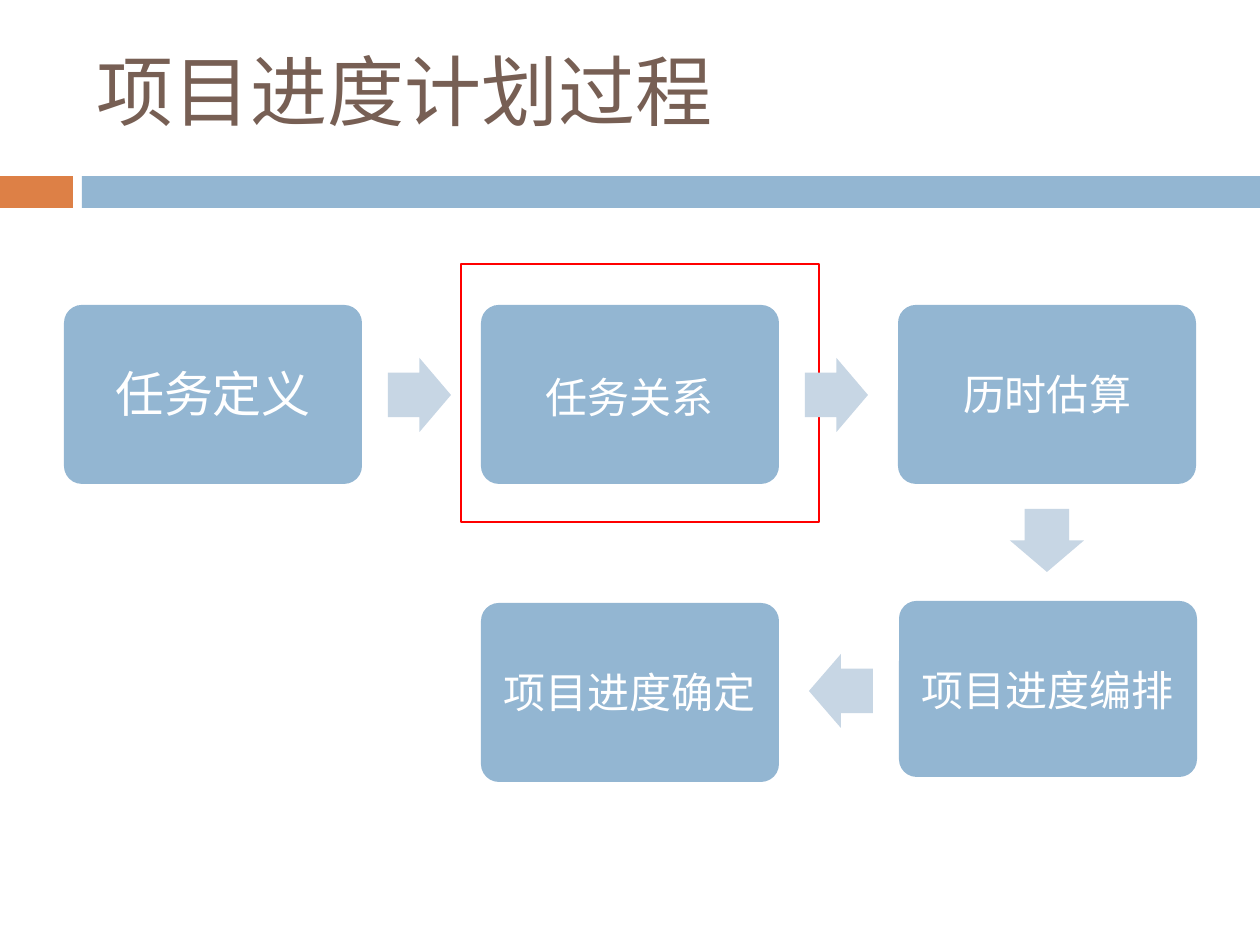
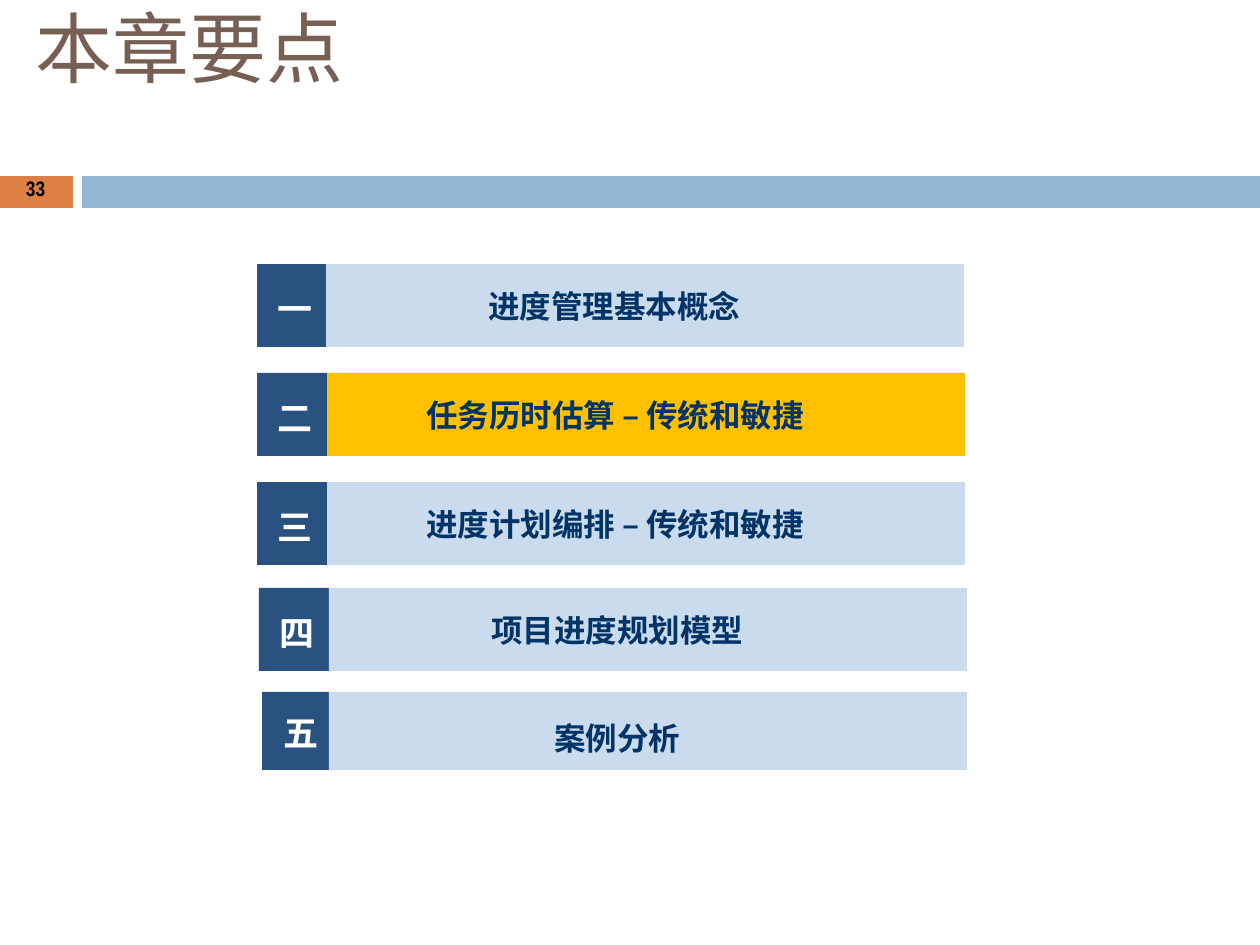
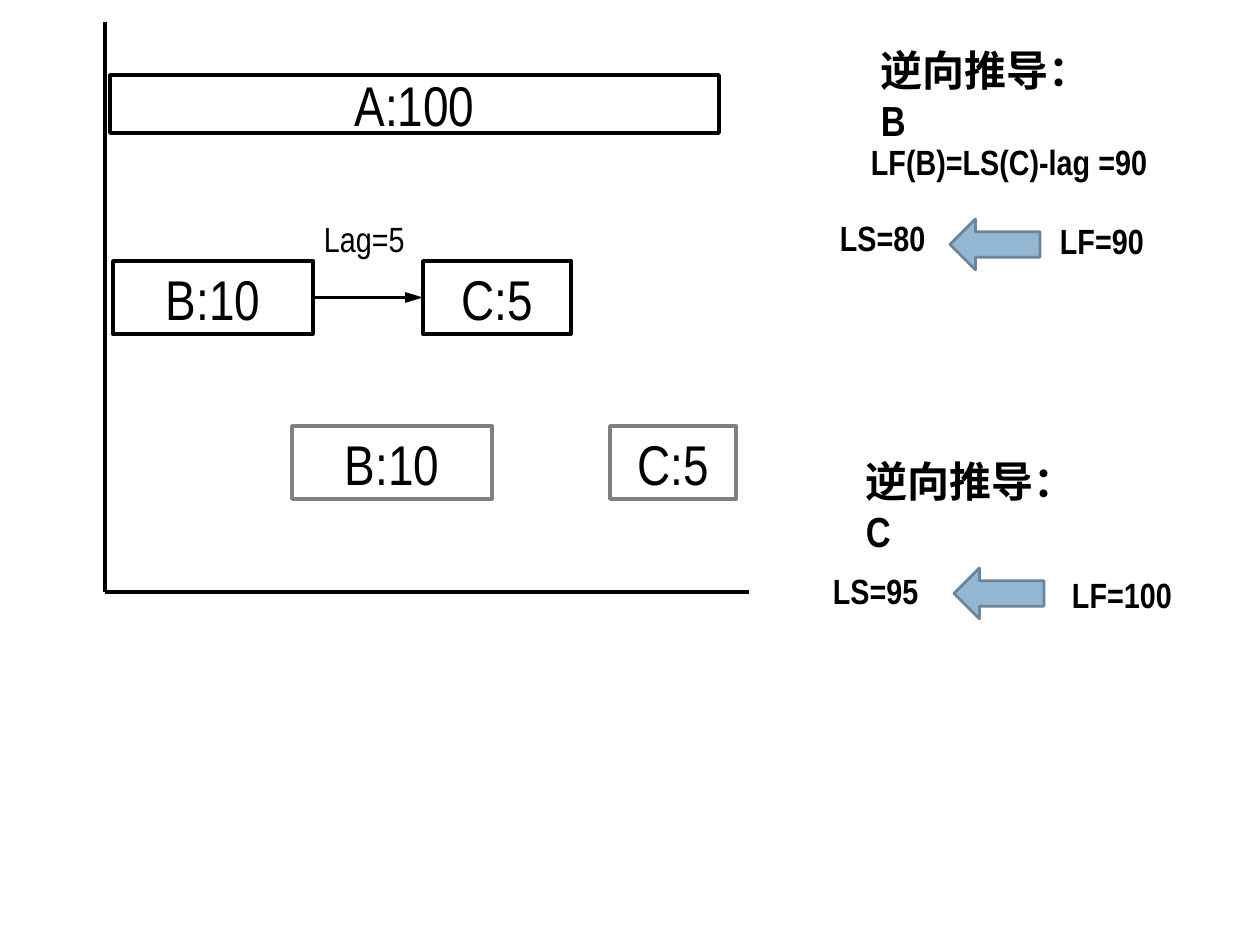
from dataclasses import dataclass

from lxml.etree import SubElement
from pptx import Presentation
from pptx.dml.color import RGBColor
from pptx.enum.shapes import MSO_CONNECTOR, MSO_SHAPE
from pptx.enum.text import MSO_ANCHOR, PP_ALIGN
from pptx.oxml.ns import qn
from pptx.shapes.autoshape import Shape
from pptx.shapes.connector import Connector
from pptx.slide import Slide
from pptx.util import Emu, Pt

PX_PER_INCH = 126


@dataclass(frozen=True)
class Theme:
    cjk: str = "Noto Sans CJK SC"
    latin: str = "Arial Narrow"
    brown: str = "775F54"
    orange: str = "DD8046"
    blue: str = "93B6D2"
    pale_arrow: str = "C7D6E4"
    arrow_edge: str = "6B859A"
    red: str = "FF0000"
    navy: str = "2A5280"
    label_blue: str = "C9DBED"
    highlight: str = "FFC000"
    label_text: str = "003366"
    white: str = "FFFFFF"
    black: str = "000000"
    grey: str = "808080"
    title_size: int = 44
    bar_size: int = 32
    first_step_size: int = 28
    heading_size: int = 24
    note_size: int = 20
    topic_size: int = 18
    page_size: int = 12
    thin: float = 1.56
    thick: float = 2.04


THEME = Theme()


@dataclass(frozen=True)
class Box:
    left: int
    top: int
    width: int
    height: int


@dataclass(frozen=True)
class TextStyle:
    size: int
    color: str
    font: str = THEME.cjk
    bold: bool = False
    align: PP_ALIGN = PP_ALIGN.LEFT
    anchor: MSO_ANCHOR = MSO_ANCHOR.TOP
    wrap: bool = False


@dataclass(frozen=True)
class Step:
    text: str
    box: Box
    size: int = THEME.heading_size
    drop: int = 58


@dataclass(frozen=True)
class FlowArrow:
    kind: MSO_SHAPE
    box: Box


@dataclass(frozen=True)
class Topic:
    number: str
    text: str
    left: int
    label_left: int
    top: int
    height: int = 83
    fill: str = THEME.label_blue
    number_drop: int = 23
    label_drop: int = 23


@dataclass(frozen=True)
class Bar:
    text: str
    box: Box
    edge: str = THEME.black


@dataclass(frozen=True)
class Note:
    text: str
    box: Box
    bold: bool = True


def px(length: int) -> Emu:
    return Emu(round(length * 914400 / PX_PER_INCH))


def place(box: Box) -> tuple[Emu, Emu, Emu, Emu]:
    return px(box.left), px(box.top), px(box.width), px(box.height)


def write(shape: Shape, text: str, style: TextStyle,
          left: int = 0, top: int = 1, right: int = 0) -> None:
    frame = shape.text_frame
    frame.word_wrap = style.wrap
    frame.vertical_anchor = style.anchor
    frame.margin_left, frame.margin_top = px(left), px(top)
    frame.margin_right, frame.margin_bottom = px(right), 0
    paragraph = frame.paragraphs[0]
    paragraph.text = text
    paragraph.alignment = style.align
    font = paragraph.font
    font.size, font.bold, font.name = Pt(style.size), style.bold, style.font
    font.color.rgb = RGBColor.from_string(style.color)
    defaults = paragraph._p.pPr.find(qn("a:defRPr"))
    SubElement(defaults, qn("a:ea")).set("typeface", THEME.cjk)


def add_text(slide: Slide, box: Box, text: str, style: TextStyle) -> None:
    write(slide.shapes.add_textbox(*place(box)), text, style)


def add_block(slide: Slide, kind: MSO_SHAPE, box: Box, fill: str | None = None,
              edge: str | None = None, weight: float = THEME.thin) -> Shape:
    block = slide.shapes.add_shape(kind, *place(box))
    block.shadow.inherit = False
    if fill:
        block.fill.solid()
        block.fill.fore_color.rgb = RGBColor.from_string(fill)
    else:
        block.fill.background()
    if edge:
        block.line.color.rgb = RGBColor.from_string(edge)
        block.line.width = Pt(weight)
    else:
        block.line.fill.background()
    return block


def add_line(slide: Slide, x1: int, y1: int, x2: int, y2: int) -> Connector:
    line = slide.shapes.add_connector(
        MSO_CONNECTOR.STRAIGHT, px(x1), px(y1), px(x2), px(y2))
    line.line.color.rgb = RGBColor.from_string(THEME.black)
    line.line.width = Pt(THEME.thick)
    SubElement(line._element.spPr, qn("a:effectLst"))
    return line


def add_title_and_bands(slide: Slide, title: str, box: Box) -> None:
    add_block(slide, MSO_SHAPE.RECTANGLE, Box(0, 176, 73, 32), THEME.orange)
    add_block(slide, MSO_SHAPE.RECTANGLE, Box(82, 176, 1178, 32), THEME.blue)
    add_text(slide, box, title, TextStyle(THEME.title_size, THEME.brown))


# Slide 1: planning process
STEPS = (
    Step("任务定义", Box(64, 305, 298, 179), THEME.first_step_size, 53),
    Step("任务关系", Box(481, 305, 298, 179), drop=61),
    Step("历时估算", Box(898, 305, 298, 179)),
    Step("项目进度编排", Box(899, 601, 298, 176)),
    Step("项目进度确定", Box(481, 603, 298, 179)),
)
FLOW_ARROWS = (
    FlowArrow(MSO_SHAPE.RIGHT_ARROW, Box(388, 358, 63, 74)),
    FlowArrow(MSO_SHAPE.RIGHT_ARROW, Box(805, 358, 63, 74)),
    FlowArrow(MSO_SHAPE.DOWN_ARROW, Box(1010, 509, 74, 63)),
    FlowArrow(MSO_SHAPE.LEFT_ARROW, Box(809, 654, 64, 74)),
)


def build_process(slide: Slide) -> None:
    add_title_and_bands(slide, "项目进度计划过程", Box(97, 43, 620, 96))
    for step in STEPS:
        block = add_block(slide, MSO_SHAPE.ROUNDED_RECTANGLE, step.box, THEME.blue)
        block.adjustments[0] = 0.1
        write(block, step.text,
              TextStyle(step.size, THEME.white, align=PP_ALIGN.CENTER, wrap=True),
              top=step.drop)
    add_block(slide, MSO_SHAPE.RECTANGLE, Box(461, 264, 358, 258), edge=THEME.red)
    for arrow in FLOW_ARROWS:
        block = add_block(slide, arrow.kind, arrow.box, THEME.pale_arrow)
        block.adjustments[0], block.adjustments[1] = 0.6, 0.5


# Slide 2: chapter topics
LABEL_WIDTH = 638
LABEL_RIGHT_INSET = 62
TOPICS = (
    Topic("一", "进度管理基本概念", 257, 326, 264),
    Topic("二", "任务历时估算 – 传统和敏捷", 257, 327, 373, fill=THEME.highlight),
    Topic("三", "进度计划编排 – 传统和敏捷", 257, 327, 482),
    Topic("四", "项目进度规划模型", 259, 329, 588),
    Topic("五", "案例分析", 262, 329, 692, 78, number_drop=20, label_drop=27),
)


def build_topics(slide: Slide) -> None:
    add_title_and_bands(slide, "本章要点", Box(36, 0, 312, 96))
    add_text(slide, Box(26, 175, 23, 29), "33",
             TextStyle(THEME.page_size, THEME.black, THEME.latin, bold=True))
    number_style = TextStyle(THEME.note_size, THEME.white, bold=True)
    label_style = TextStyle(THEME.topic_size, THEME.label_text, bold=True,
                            align=PP_ALIGN.CENTER, wrap=True)
    for topic in TOPICS:
        number = add_block(
            slide, MSO_SHAPE.RECTANGLE,
            Box(topic.left, topic.top, topic.label_left - topic.left, topic.height),
            THEME.navy)
        write(number, topic.number, number_style, left=21, top=topic.number_drop)
        label = add_block(
            slide, MSO_SHAPE.RECTANGLE,
            Box(topic.label_left, topic.top, LABEL_WIDTH, topic.height), topic.fill)
        write(label, topic.text, label_style, top=topic.label_drop,
              right=LABEL_RIGHT_INSET)


# Slide 3: backward pass
TASK_A = Bar("A:100", Box(110, 75, 609, 58))
TASK_B = Bar("B:10", Box(113, 261, 200, 73))
TASK_C = Bar("C:5", Box(423, 261, 148, 73))
LATE_B = Bar("B:10", Box(292, 426, 200, 73), THEME.grey)
LATE_C = Bar("C:5", Box(610, 426, 126, 73), THEME.grey)
HEADINGS = (
    Note("逆向推导：B", Box(881, 43, 225, 108)),
    Note("逆向推导：C", Box(866, 454, 225, 108)),
)
NOTES = (
    Note("Lag=5", Box(324, 217, 84, 45), bold=False),
    Note("LF(B)=LS(C)-lag =90", Box(871, 139, 280, 45)),
    Note("LS=80", Box(840, 215, 90, 45)),
    Note("LF=90", Box(1060, 218, 88, 45)),
    Note("LS=95", Box(833, 568, 90, 45)),
    Note("LF=100", Box(1072, 572, 104, 45)),
)
BACKWARD_ARROWS = (Box(950, 219, 90, 51), Box(954, 568, 90, 51))


def add_bar(slide: Slide, bar: Bar) -> Shape:
    block = add_block(slide, MSO_SHAPE.RECTANGLE, bar.box, edge=bar.edge,
                      weight=THEME.thick)
    write(block, bar.text,
          TextStyle(THEME.bar_size, THEME.black, THEME.latin,
                    align=PP_ALIGN.CENTER, anchor=MSO_ANCHOR.MIDDLE))
    return block


def build_backward_pass(slide: Slide) -> None:
    # Axes
    add_line(slide, 105, 22, 105, 592)
    add_line(slide, 105, 592, 749, 592)
    # Task bars and the lag between B and C
    for bar in (TASK_A, LATE_B, LATE_C):
        add_bar(slide, bar)
    task_b, task_c = add_bar(slide, TASK_B), add_bar(slide, TASK_C)
    lag = add_line(slide, 313, 297, 423, 297)
    lag.begin_connect(task_b, 3)
    lag.end_connect(task_c, 1)
    tail = SubElement(lag.line._get_or_add_ln(), qn("a:tailEnd"))
    tail.set("type", "triangle")
    tail.set("len", "lg")
    # Derivations
    for heading in HEADINGS:
        add_text(slide, heading.box, heading.text,
                 TextStyle(THEME.heading_size, THEME.black, THEME.latin,
                           bold=True, wrap=True))
    for note in NOTES:
        add_text(slide, note.box, note.text,
                 TextStyle(THEME.note_size, THEME.black, THEME.latin, note.bold))
    for box in BACKWARD_ARROWS:
        add_block(slide, MSO_SHAPE.LEFT_ARROW, box, THEME.blue, THEME.arrow_edge)


def main() -> None:
    presentation = Presentation()
    presentation.slide_width, presentation.slide_height = px(1260), px(945)
    blank = presentation.slide_layouts[6]
    for build in (build_process, build_topics, build_backward_pass):
        build(presentation.slides.add_slide(blank))
    presentation.save("out.pptx")


if __name__ == "__main__":
    main()
